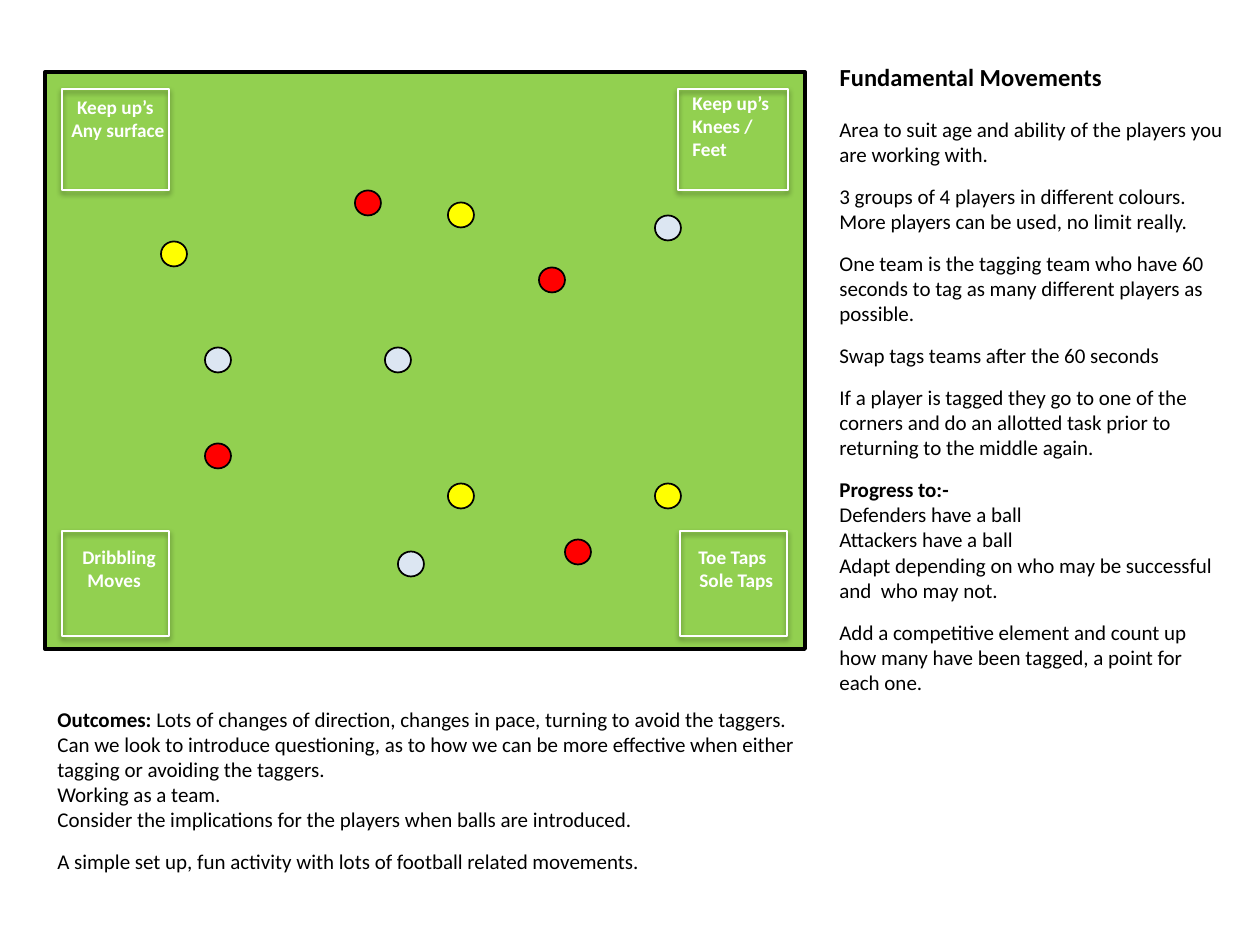
from lxml import etree
from pptx import Presentation
from pptx.dml.color import RGBColor
from pptx.enum.shapes import MSO_SHAPE
from pptx.enum.text import MSO_ANCHOR, MSO_AUTO_SIZE, PP_ALIGN
from pptx.oxml.ns import qn
from pptx.util import Emu, Inches, Pt

RECT, OVAL = MSO_SHAPE.RECTANGLE, MSO_SHAPE.OVAL
LEFT, CENTER = PP_ALIGN.LEFT, PP_ALIGN.CENTER
TOP = MSO_ANCHOR.TOP
GROW, FIXED = MSO_AUTO_SIZE.SHAPE_TO_FIT_TEXT, MSO_AUTO_SIZE.NONE

BLACK = RGBColor(0x00, 0x00, 0x00)
WHITE = RGBColor(0xFF, 0xFF, 0xFF)
GRASS = RGBColor(0x92, 0xD0, 0x50)
RED = RGBColor(0xFF, 0x00, 0x00)
YELLOW = RGBColor(0xFF, 0xFF, 0x00)
PALE = RGBColor(0xDC, 0xE6, 0xF2)

PX_PER_INCH = 126
GAP = Pt(9.5)
PLAYER_W, PLAYER_H = 26, 25

TITLE_FONT = {"name": "Calibri", "size": Pt(14), "bold": True}
BODY_FONT = {"name": "Calibri", "size": Pt(12), "bold": False}
LABEL_FONT = {"name": "Calibri", "size": Pt(11), "bold": True}

TEAMS = {
    RED: [(368, 203), (552, 280), (218, 456), (578, 552)],
    YELLOW: [(461, 215), (174, 254), (461, 496), (668, 496)],
    PALE: [(668, 228), (218, 360), (398, 360), (411, 564)],
}

CORNERS = [
    (678, 89, 110, 101),
    (62, 89, 107, 101),
    (680, 531, 107, 105),
    (62, 531, 107, 105),
]

LABELS = [
    ((680, 85, 116, 83), LEFT, [("Keep up’s", 0), ("Knees / Feet", 0)]),
    ((45, 89, 141, 57), CENTER, [("Keep up’s", 0), ("Any surface", 5)]),
    ((62, 539, 125, 57), LEFT, [("Dribbling", 8), ("Moves", 13)]),
    ((678, 539, 125, 57), LEFT, [("Toe Taps", 8), ("Sole Taps", 9)]),
]

SESSION = [
    ("", "Area to suit age and ability of the players you are working with.", 0),
    ("", "3 groups of 4 players in different colours. More players can be used, "
         "no limit really.", GAP),
    ("", "One team is the tagging team who have 60 seconds to tag as many "
         "different players as possible.", GAP),
    ("", "Swap tags teams after the 60 seconds", GAP),
    ("", "If a player is tagged they go to one of the corners and do an allotted "
         "task prior to returning to the middle again.", GAP),
    ("Progress to:-", "", GAP),
    ("", "Defenders have a ball", 0),
    ("", "Attackers have a ball", 0),
    ("", "Adapt depending on who may be successful and  who may not.", 0),
    ("", "Add a competitive element and count up how many have been tagged, "
         "a point for each one.", GAP),
]

OUTCOMES = [
    ("Outcomes:", " Lots of changes of direction, changes in pace, turning to "
                  "avoid the taggers.", 0),
    ("", "Can we look to introduce questioning, as to how we can be more "
         "effective when either", 0),
    ("", "tagging or avoiding the taggers.", 0),
    ("", "Working as a team.", 0),
    ("", "Consider the implications for the players when balls are introduced.", 0),
    ("", "A simple set up, fun activity with lots of football related movements.", GAP),
]


def px(n):
    return Emu(round(n * Inches(1) / PX_PER_INCH))


def box(bounds):
    return [px(n) for n in bounds]


def style(font, values, color):
    for name, value in values.items():
        setattr(font, name, value)
    font.color.rgb = color


def add_outline(s, kind, bounds, fill, line, width):
    sp = s.shapes.add_shape(kind, *box(bounds))
    sp.shadow.inherit = False
    if fill is None:
        sp.fill.background()
    else:
        sp.fill.solid()
        sp.fill.fore_color.rgb = fill
    sp.line.color.rgb = line
    sp.line.width = Pt(width)
    return sp


def add_player(s, center, color):
    x, y = center
    bounds = (x - PLAYER_W / 2, y - PLAYER_H / 2, PLAYER_W, PLAYER_H)
    add_outline(s, OVAL, bounds, color, BLACK, 1)


def add_corner(s, bounds):
    sp = add_outline(s, RECT, bounds, None, WHITE, 1.5)
    effects = sp._element.spPr.find(qn("a:effectLst"))
    shadow = etree.SubElement(effects, qn("a:outerShdw"), blurRad=str(Pt(3.1)),
                              dist=str(Pt(1.8)), dir="5400000", rotWithShape="0")
    color = etree.SubElement(shadow, qn("a:srgbClr"), val=str(BLACK))
    etree.SubElement(color, qn("a:alpha"), val="35000")


def add_text_frame(s, bounds):
    tf = s.shapes.add_textbox(*box(bounds)).text_frame
    tf.word_wrap = True
    tf.auto_size = GROW
    return tf


def next_paragraph(tf, index):
    return tf.add_paragraph() if index else tf.paragraphs[0]


def add_label(s, bounds, align, lines):
    tf = add_text_frame(s, bounds)
    for i, (text, indent) in enumerate(lines):
        p = next_paragraph(tf, i)
        p.alignment = align
        if indent:
            p._p.get_or_add_pPr().set("marL", str(px(indent)))
        r = p.add_run()
        r.text = text
        style(r.font, LABEL_FONT, WHITE)


def add_notes_block(s, bounds, lines):
    tf = add_text_frame(s, bounds)
    for i, (lead, text, before) in enumerate(lines):
        p = next_paragraph(tf, i)
        p.space_before = before
        for part, bold in ((lead, True), (text, False)):
            if part:
                r = p.add_run()
                r.text = part
                style(r.font, {**BODY_FONT, "bold": bold}, BLACK)


def set_title(s, bounds, text):
    sp = s.shapes.title
    sp.left, sp.top, sp.width, sp.height = box(bounds)
    tf = sp.text_frame
    tf.auto_size = FIXED
    tf.vertical_anchor = TOP
    p = tf.paragraphs[0]
    p.alignment = LEFT
    r = p.add_run()
    r.text = text
    style(r.font, TITLE_FONT, BLACK)


def main():
    prs = Presentation()
    prs.slide_width, prs.slide_height = Inches(10), Inches(7.5)
    s = prs.slides.add_slide(prs.slide_layouts[5])
    set_title(s, (827, 56, 411, 46), "Fundamental Movements")
    add_outline(s, RECT, (45, 72, 760, 577), GRASS, BLACK, 2.25)
    for color, centers in TEAMS.items():
        for center in centers:
            add_player(s, center, color)
    for bounds in CORNERS:
        add_corner(s, bounds)
    for bounds, align, lines in LABELS:
        add_label(s, bounds, align, lines)
    add_notes_block(s, (827, 110, 411, 591), SESSION)
    add_notes_block(s, (45, 700, 886, 200), OUTCOMES)
    prs.save("out.pptx")


if __name__ == "__main__":
    main()
